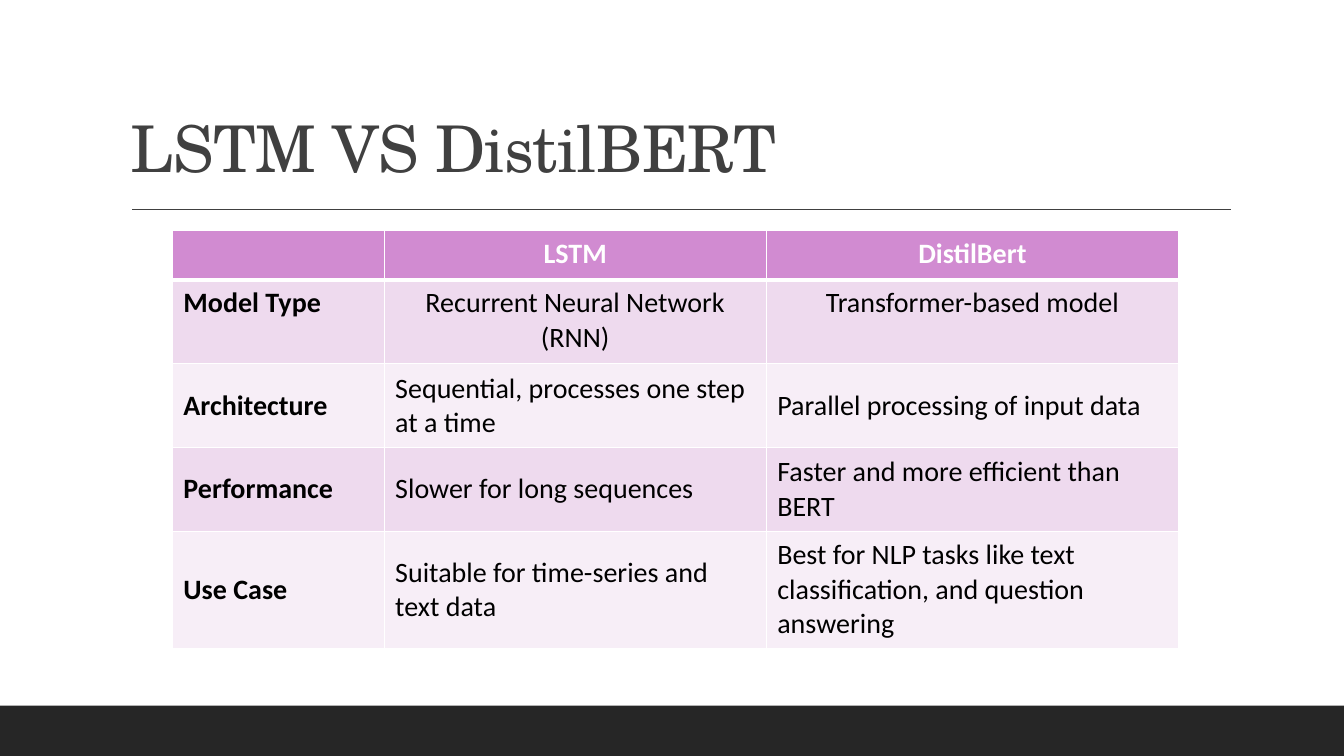
import pptx
import pptx.dml.color
import pptx.enum.shapes
import pptx.enum.text
import pptx.oxml
import pptx.oxml.ns
import pptx.util
from lxml import etree

Inches = pptx.util.Inches
Pt = pptx.util.Pt
ALIGN = pptx.enum.text.PP_ALIGN
ANCHOR = pptx.enum.text.MSO_ANCHOR
qn = pptx.oxml.ns.qn

COL_WIDTHS = [2.1, 3.79, 4.09]
ROW_HEIGHTS = [0.49, 0.83, 0.83, 0.83, 1.16]
COMPARISON = [
    ["", "LSTM", "DistilBert"],
    ["Model Type", "Recurrent Neural Network (RNN)", "Transformer-based model"],
    ["Architecture", "Sequential, processes one step at a time",
     "Parallel processing of input data"],
    ["Performance", "Slower for long sequences", "Faster and more efficient than BERT"],
    ["Use Case", "Suitable for time-series and text data",
     "Best for NLP tasks like text classification, and question answering"],
]


def rgb(color):
    return pptx.dml.color.RGBColor.from_string(color)


class SlideBuilder:
    HEADING_FONT = "TeX Gyre Schola"
    BODY_FONT = "Calibri"
    WHITE, BLACK = "FFFFFF", "000000"
    GREY, FOOTER = "404040", "262626"
    HEADER, BANDS = "D18BD1", ["F7EEF7", "EEDAEE"]

    def __init__(self, slide):
        self.slide = slide

    def style_run(self, r, font, size, color, bold=False):
        r.font.name = font
        r.font.size = Pt(size)
        r.font.bold = bold
        r.font.color.rgb = rgb(color)

    def title(self, text, left, top, width, height):
        tf = self.slide.shapes.add_textbox(
            Inches(left), Inches(top), Inches(width), Inches(height)).text_frame
        tf.word_wrap = True
        tf.vertical_anchor = ANCHOR.BOTTOM
        tf.text = text
        p = tf.paragraphs[0]
        p.line_spacing = 0.9
        r = p.runs[0]
        self.style_run(r, self.HEADING_FONT, 46, self.GREY)
        r.font._element.set("spc", "-50")

    def rule(self, left, right, y):
        line = self.slide.shapes.add_connector(
            pptx.enum.shapes.MSO_CONNECTOR.STRAIGHT,
            Inches(left), Inches(y), Inches(right), Inches(y))
        line.line.color.rgb = rgb(self.GREY)
        line.line.width = Pt(1)
        etree.SubElement(line._element.spPr, qn("a:effectLst"))

    def bar(self, left, top, width, height):
        sp = self.slide.shapes.add_shape(
            pptx.enum.shapes.MSO_SHAPE.RECTANGLE,
            Inches(left), Inches(top), Inches(width), Inches(height))
        sp.shadow.inherit = False
        sp.fill.solid()
        sp.fill.fore_color.rgb = rgb(self.FOOTER)
        sp.line.fill.background()

    def borders(self, cell, row):
        """Draw thin white cell edges, with a thick one under the header."""
        widths = {"L": 1, "R": 1, "T": 3 if row == 1 else 1, "B": 3 if row == 0 else 1}
        tc_pr = cell._tc.get_or_add_tcPr()
        for side, width in widths.items():
            ln = etree.SubElement(tc_pr, qn(f"a:ln{side}"), w=str(Pt(width)))
            fill = etree.SubElement(ln, qn("a:solidFill"))
            etree.SubElement(fill, qn("a:srgbClr"), val=self.WHITE)

    def cell(self, cell, text, row, col):
        self.borders(cell, row)
        cell.fill.solid()
        cell.fill.fore_color.rgb = rgb(self.BANDS[row % 2] if row else self.HEADER)
        cell.margin_left = cell.margin_right = Inches(0.11)
        cell.margin_top = cell.margin_bottom = Inches(0.06)
        cell.vertical_anchor = ANCHOR.TOP if row < 2 else ANCHOR.MIDDLE
        if not text:
            return
        cell.text_frame.text = text
        p = cell.text_frame.paragraphs[0]
        p.alignment = ALIGN.CENTER if row < 2 and col else ALIGN.LEFT
        self.style_run(p.runs[0], self.BODY_FONT, 20,
                       self.BLACK if row else self.WHITE, row == 0 or col == 0)

    def table(self, rows, left, top, col_widths, row_heights):
        table = self.slide.shapes.add_table(
            len(rows), len(col_widths), Inches(left), Inches(top),
            Inches(sum(col_widths)), Inches(sum(row_heights))).table
        for column, width in zip(table.columns, col_widths):
            column.width = Inches(width)
        for i, (texts, height) in enumerate(zip(rows, row_heights)):
            table.rows[i].height = Inches(height)
            for j, text in enumerate(texts):
                self.cell(table.cell(i, j), text, i, j)


def main():
    prs = pptx.Presentation()
    prs.slide_width, prs.slide_height = Inches(13.33), Inches(7.5)
    s = SlideBuilder(prs.slides.add_slide(prs.slide_layouts[6]))
    s.title("LSTM VS DistilBERT", 1.2, 0.31, 11, 1.59)
    s.rule(1.31, 12.21, 2.08)
    s.bar(0, 7, 13.33, 0.5)
    s.table(COMPARISON, 1.71, 2.29, COL_WIDTHS, ROW_HEIGHTS)
    prs.save("out.pptx")


if __name__ == "__main__":
    main()
